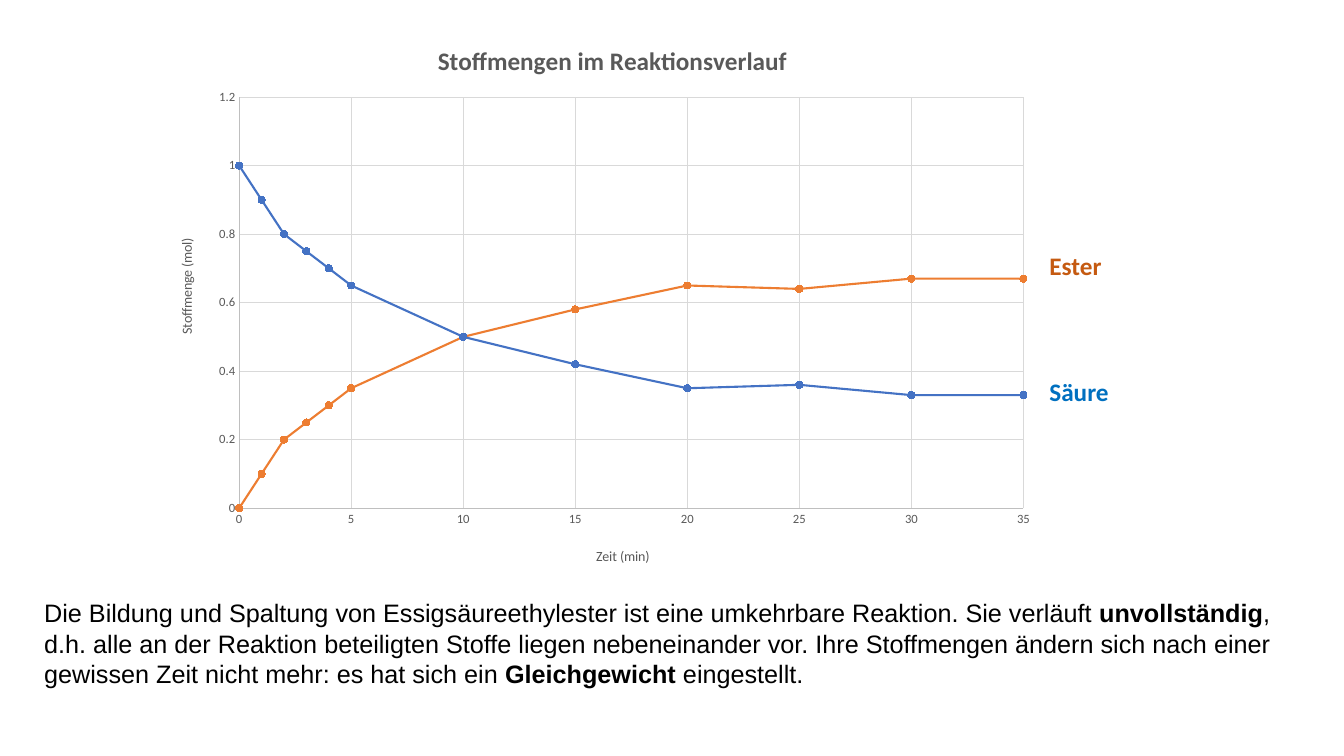
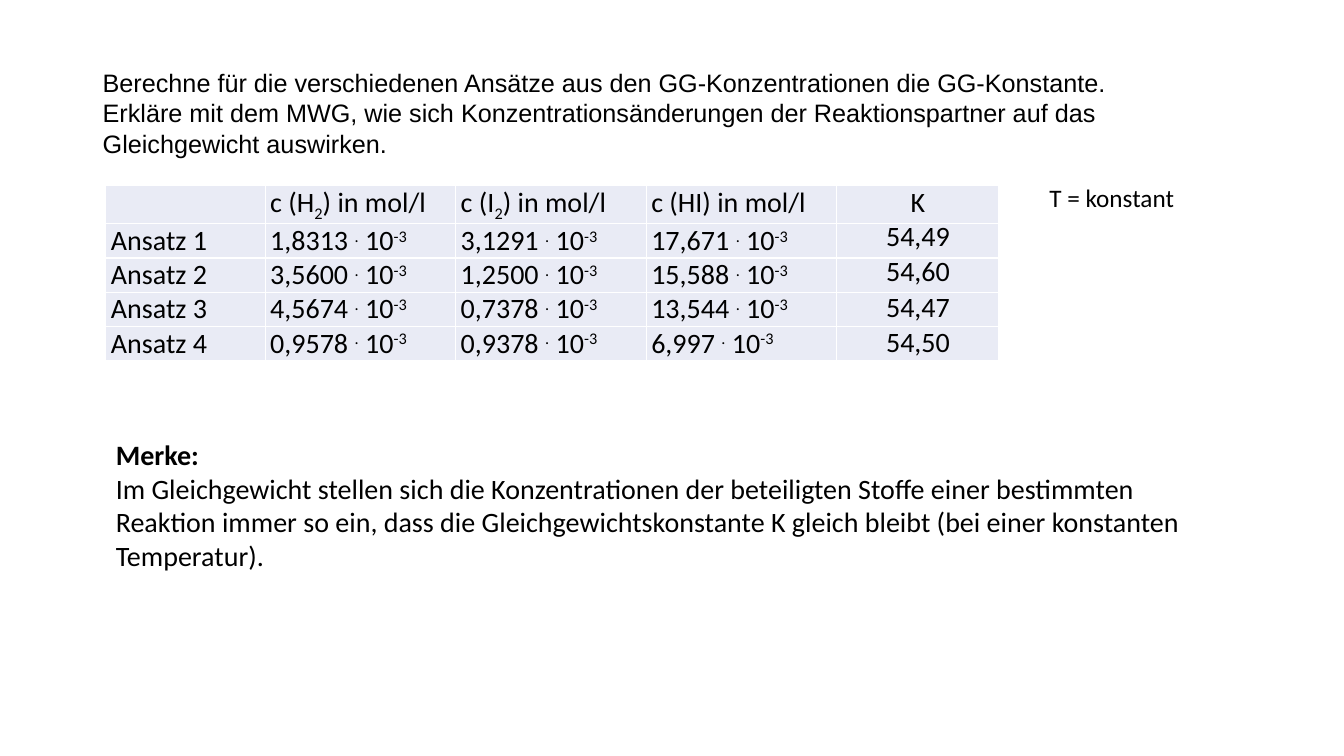
from dataclasses import dataclass

from lxml.etree import SubElement as Sub
from pptx import Presentation
from pptx.chart.data import XyChartData
from pptx.dml.color import RGBColor as Rgb
from pptx.enum.chart import XL_CHART_TYPE as Kind
from pptx.enum.chart import XL_MARKER_STYLE as Mark
from pptx.enum.chart import XL_TICK_MARK as Tick
from pptx.enum.text import MSO_AUTO_SIZE as Fit
from pptx.enum.text import PP_ALIGN as Align
from pptx.oxml.ns import qn
from pptx.util import Pt

PX = 9144  # EMU per px, 100 px to the inch


@dataclass(frozen=True)
class Theme:
    sans: str = "Arial"
    main: str = "Calibri"
    ink: str = "000000"
    gray: str = "595959"
    grid: str = "D9D9D9"
    axis: str = "BFBFBF"
    acid: str = "4472C4"
    ester: str = "ED7D31"
    acid_tag: str = "0070C0"
    ester_tag: str = "C55A11"
    cell: str = "E9EBF5"
    rule: str = "FFFFFF"
    big: int = 20
    text: int = 18
    small: int = 10
    tick: int = 9


T = Theme()
BOLD = {"bold": True}
SUB = {"base": -25}
SUP = {"base": 30}

TIMES = [0, 1, 2, 3, 4, 5, 10, 15, 20, 25, 30, 35]
CURVES = [
    ("Säure", T.acid, [1, 0.9, 0.8, 0.75, 0.7, 0.65, 0.5, 0.42, 0.35, 0.36, 0.33, 0.33]),
    ("Ester", T.ester, [0, 0.1, 0.2, 0.25, 0.3, 0.35, 0.5, 0.58, 0.65, 0.64, 0.67, 0.67]),
]
HEADS = [
    [],
    [("c (H", {}), ("2", SUB), (") in mol/l", {})],
    [("c (I", {}), ("2", SUB), (") in mol/l", {})],
    [("c (HI) in mol/l", {})],
    [("K", {})],
]
TRIALS = [
    ("1,8313", "3,1291", "17,671"),
    ("3,5600", "1,2500", "15,588"),
    ("4,5674", "0,7378", "13,544"),
    ("0,9578", "0,9378", "6,997"),
]
RATIOS = ["54,49", "54,60", "54,47", "54,50"]


# Shared helpers
def emu(box):
    return [n * PX for n in box]


def style(font, size, color=T.ink, name=T.main, bold=False):
    fmt = {"size": Pt(size), "name": name, "bold": bold}
    for key, val in fmt.items():
        setattr(font, key, val)
    font.color.rgb = Rgb.from_string(color)


def stroke(line, color, width):
    line.color.rgb = Rgb.from_string(color)
    line.width = Pt(width)


def write(para, runs, **fmt):
    for text, extra in runs:
        run = para.add_run()
        run.text = text
        opts = {**fmt, **extra}
        base = opts.pop("base", 0)
        style(run.font, **opts)
        if base:
            run.font._element.set("baseline", str(base * 1000))


def label(slide, box, paras, **fmt):
    frame = slide.shapes.add_textbox(*emu(box)).text_frame
    frame.word_wrap = True
    frame.auto_size = Fit.SHAPE_TO_FIT_TEXT
    for i, runs in enumerate(paras):
        para = frame.add_paragraph() if i else frame.paragraphs[0]
        write(para, runs, **fmt)


# Chart
def place(node, slot, **spots):
    """Give a chart part a fixed layout, in shares of the chart."""
    for old in node.findall(qn("c:layout")):
        node.remove(old)
    outer = Sub(node, qn("c:layout"))
    node.insert(slot, outer)
    inner = Sub(outer, qn("c:manualLayout"))
    if "w" in spots:
        Sub(inner, qn("c:layoutTarget"), val="inner")
    for key in "xy":
        Sub(inner, qn(f"c:{key}Mode"), val="edge")
    for key, val in spots.items():
        Sub(inner, qn(f"c:{key}"), val=str(val))


def head(title, text, x, y, turn=0, **fmt):
    frame = title.text_frame
    write(frame.paragraphs[0], [(text, {})], color=T.gray, **fmt)
    frame._txBody.find(qn("a:bodyPr")).set("rot", str(turn * 60000))
    place(title._element, 1, x=x, y=y)


def scale(axis, top, step):
    fmt = {
        "minimum_scale": 0, "maximum_scale": top, "major_unit": step,
        "major_tick_mark": Tick.NONE, "minor_tick_mark": Tick.NONE,
        "has_major_gridlines": True, "has_title": True,
    }
    for key, val in fmt.items():
        setattr(axis, key, val)
    stroke(axis.format.line, T.axis, 0.75)
    stroke(axis.major_gridlines.format.line, T.grid, 0.75)
    style(axis.tick_labels.font, T.tick, T.gray)
    axis.tick_labels.number_format = "General"
    axis.tick_labels.number_format_is_linked = False


def graph(slide, box):
    data = XyChartData()
    for name, _, vals in CURVES:
        curve = data.add_series(name)
        for x, y in zip(TIMES, vals):
            curve.add_data_point(x, y)
    chart = slide.shapes.add_chart(Kind.XY_SCATTER_LINES, *emu(box), data).chart
    style(chart.font, T.small)
    chart.has_legend = False
    chart.has_title = True
    head(chart.chart_title, "Stoffmengen im Reaktionsverlauf", 0.31, 0.04,
         size=T.text, bold=True)
    time, mols = chart.category_axis, chart.value_axis
    scale(time, 35, 5)
    scale(mols, 1.2, 0.2)
    head(time.axis_title, "Zeit (min)", 0.49, 0.94, size=T.small)
    head(mols.axis_title, "Stoffmenge (mol)", 0.02, 0.39, -90, size=T.small)
    plot = chart.plots[0]
    plot.vary_by_categories = False
    place(plot._element.getparent(), 0, x=0.092, y=0.144, w=0.881, h=0.731)
    for curve, (_, color, _) in zip(plot.series, CURVES):
        stroke(curve.format.line, color, 1.5)
        mark = curve.marker
        mark.style, mark.size = Mark.CIRCLE, 5
        mark.format.fill.solid()
        mark.format.fill.fore_color.rgb = Rgb.from_string(color)
        stroke(mark.format.line, color, 0.75)


# Table
def paint(cell):
    fmt = {"margin_left": 5 * PX, "margin_right": 5 * PX,
           "margin_top": 0, "margin_bottom": 0}
    for key, val in fmt.items():
        setattr(cell, key, val)
    props = cell._tc.get_or_add_tcPr()
    for side in "LRTB":
        edge = Sub(props, qn(f"a:ln{side}"), w=str(Pt(1)))
        Sub(Sub(edge, qn("a:solidFill")), qn("a:srgbClr"), val=T.rule)
    cell.fill.solid()
    cell.fill.fore_color.rgb = Rgb.from_string(T.cell)


def grid(slide, box):
    rows = [HEADS]
    for i, nums in enumerate(TRIALS, 1):
        concs = [[(f"{n} ", {}), (".", SUP), (" 10", {}), ("-3", SUP)] for n in nums]
        rows.append([[(f"Ansatz {i}", {})], *concs, []])
    table = slide.shapes.add_table(len(rows), len(HEADS), *emu(box)).table
    table.first_row = table.horz_banding = False
    for col, wide in zip(table.columns, (158, 189, 189, 189, 161)):
        col.width = wide * PX
    for r, row in enumerate(rows):
        table.rows[r].height = (34 if r else 38) * PX
        for c, runs in enumerate(row):
            cell = table.cell(r, c)
            paint(cell)
            para = cell.text_frame.paragraphs[0]
            if c == len(row) - 1:
                para.alignment = Align.CENTER
            write(para, runs, size=T.big)
    # Results over the last column
    x, y = box[0] + 764, box[1] + 28
    for i, ratio in enumerate(RATIOS):
        label(slide, (x, y + 35 * i, 123, 44), [[(ratio, {})]], size=T.big)


# Slides
def course(slide):
    tags = [("Ester", T.ester_tag, 243), ("Säure", T.acid_tag, 368)]
    for name, color, y in tags:
        label(slide, (1031, y, 98, 40), [[(name, BOLD)]], size=T.text, color=color)
    graph(slide, (156, 16, 883, 558))
    label(slide, (34, 588, 1246, 101), [[
        ("Die Bildung und Spaltung von Essigsäureethylester ist eine umkehrbare "
         "Reaktion. Sie verläuft ", {}),
        ("unvollständig", BOLD),
        (", d.h. alle an der Reaktion beteiligten Stoffe liegen nebeneinander vor. "
         "Ihre Stoffmengen ändern sich nach einer gewissen Zeit nicht mehr: "
         "es hat sich ein ", {}),
        ("Gleichgewicht", BOLD),
        (" eingestellt.", {}),
    ]], size=T.text, name=T.sans)


def task(slide):
    grid(slide, (105, 184, 886, 174))
    label(slide, (92, 62, 1101, 101), [
        [("Berechne für die verschiedenen Ansätze aus den GG-Konzentrationen "
          "die GG-Konstante.", {})],
        [("Erkläre mit dem MWG, wie sich Konzentrationsänderungen der "
          "Reaktionspartner auf das Gleichgewicht auswirken.", {})],
    ], size=T.text, name=T.sans)
    label(slide, (1031, 176, 159, 40), [[("T = konstant", {})]], size=T.text)
    label(slide, (105, 429, 1118, 145), [
        [("Merke:", BOLD)],
        [("Im Gleichgewicht stellen sich die Konzentrationen der beteiligten "
          "Stoffe einer bestimmten Reaktion immer so ein, dass die "
          "Gleichgewichtskonstante K gleich bleibt (bei einer konstanten "
          "Temperatur).", {})],
    ], size=T.big)


def main():
    deck = Presentation()
    deck.slide_width, deck.slide_height = emu((1333, 750))
    blank = deck.slide_layouts[6]
    for build in (course, task):
        build(deck.slides.add_slide(blank))
    deck.save("out.pptx")


if __name__ == "__main__":
    main()
